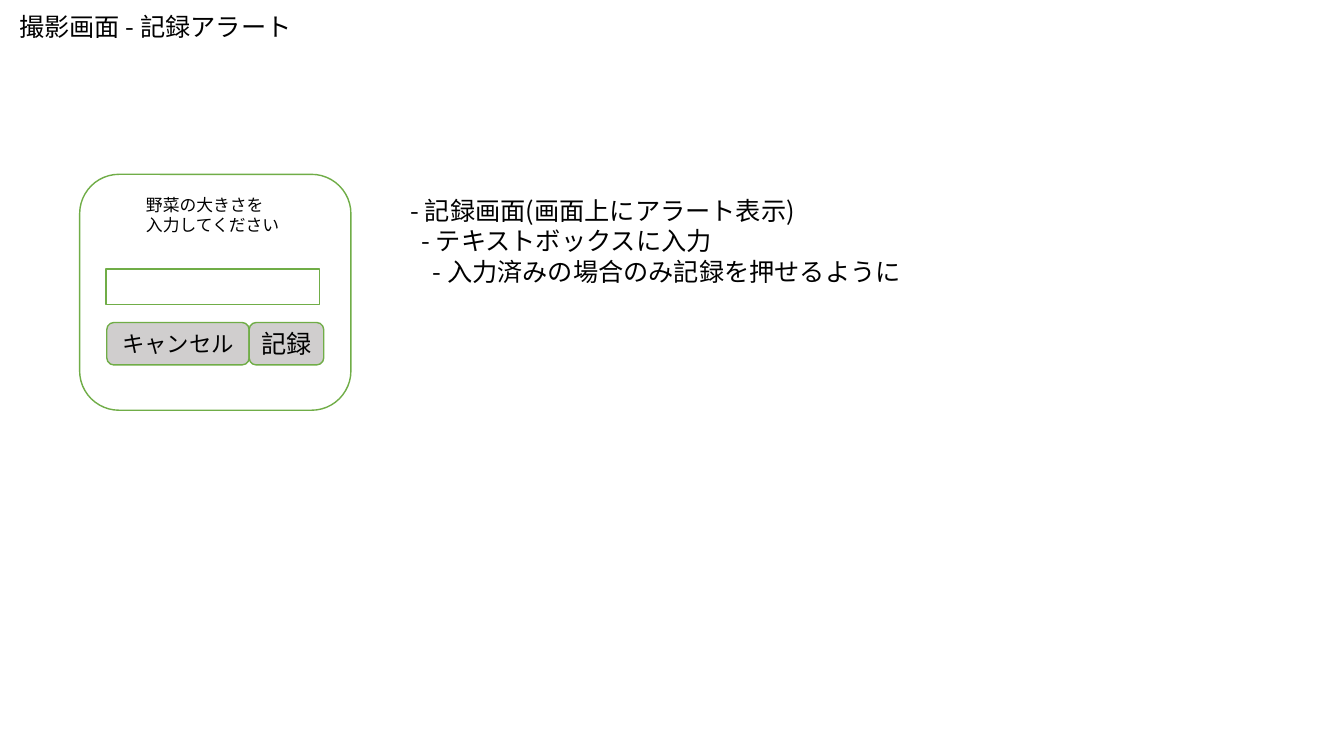
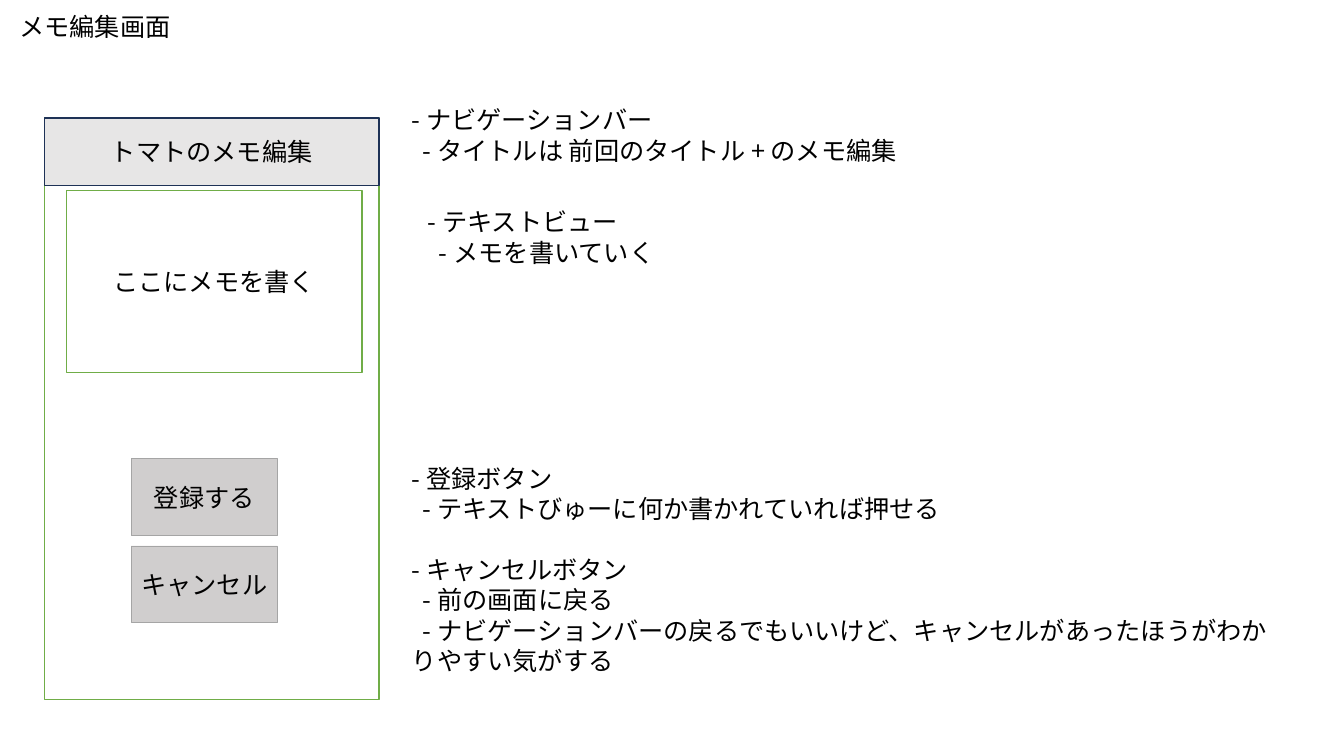
from typing import NamedTuple

from lxml.etree import SubElement
from pptx import Presentation
from pptx.dml.color import RGBColor
from pptx.enum.shapes import MSO_SHAPE as Shape
from pptx.enum.text import MSO_ANCHOR as Anchor, PP_ALIGN as Align
from pptx.oxml.ns import qn
from pptx.util import Inches, Pt

FONT = "Noto Sans CJK JP"
COLORS = {
    "text": "000000", "paper": "FFFFFF", "outline": "70AD47",
    "button": "D0CECE", "button_edge": "A5A5A5",
    "bar": "E7E6E6", "bar_edge": "1E3256",
}
BODY = 18
LINE_FACTOR = 1.2
INDENT = 0.11  # first-line step of each note level


class Box(NamedTuple):
    left: float
    top: float
    width: float
    height: float

    def inner(self, x, y, w, h):
        """Inner box, given in percent of this one."""
        return Box(self.left + self.width * x / 100, self.top + self.height * y / 100,
                   self.width * w / 100, self.height * h / 100)

    def emu(self):
        return [Inches(length) for length in self]


PAGE = Box(0, 0, 13.33, 7.5)


def rgb(name):
    return RGBColor.from_string(COLORS[name])


def style(paragraph, size, level=0, align=Align.LEFT):
    paragraph.alignment = align
    paragraph.line_spacing = Pt(size * LINE_FACTOR)
    font = paragraph.font
    font.size, font.name = Pt(size), FONT
    font.color.rgb = rgb("text")
    # East Asian typeface and first-line indent
    props = paragraph._p.get_or_add_pPr()
    SubElement(props.find(qn("a:defRPr")), qn("a:ea"), typeface=FONT)
    if level:
        props.set("marL", "0")
        props.set("indent", str(Inches(INDENT * level)))


def add_lines(shapes, box, lines, size=BODY):
    """Text box; lines are (level, text) pairs."""
    frame = shapes.add_textbox(*box.emu()).text_frame
    frame.word_wrap = True
    for i, (level, text) in enumerate(lines):
        paragraph = frame.add_paragraph() if i else frame.paragraphs[0]
        paragraph.text = text
        style(paragraph, size, level)


def add_panel(shapes, box, text="", fill="paper", edge="outline", weight=1,
              form=Shape.RECTANGLE, size=BODY):
    panel = shapes.add_shape(form, *box.emu())
    panel.shadow.inherit = False
    panel.fill.solid()
    panel.fill.fore_color.rgb = rgb(fill)
    panel.line.color.rgb = rgb(edge)
    panel.line.width = Pt(weight)
    if text:
        frame = panel.text_frame
        frame.word_wrap = True
        frame.vertical_anchor = Anchor.MIDDLE
        frame.margin_left = frame.margin_right = Inches(0.05)
        frame.text = text
        style(frame.paragraphs[0], size, align=Align.CENTER)


def add_page(deck, title):
    shapes = deck.slides.add_slide(deck.slide_layouts[6]).shapes
    add_lines(shapes, PAGE.inner(0.7, 0.9, 29, 5.4), [(0, title)])
    return shapes


def draw_alert(shapes, box):
    """Dialog asking for the size of the vegetable."""
    rounded = Shape.ROUNDED_RECTANGLE
    add_panel(shapes, box, form=rounded)
    add_lines(shapes, box.inner(20.8, 6.4, 58, 21.4),
              [(0, "野菜の大きさを"), (0, "入力してください")], 12)
    add_panel(shapes, box.inner(9.7, 40.2, 78.8, 15))
    # Buttons side by side
    for x, width, label, size in ((10, 52.5, "キャンセル", 16), (62.5, 27.5, "記録", BODY)):
        add_panel(shapes, box.inner(x, 62.8, width, 18), label, "button",
                  form=rounded, size=size)


def draw_memo_screen(shapes, box):
    """Phone screen for editing a memo."""
    add_panel(shapes, box)
    add_panel(shapes, box.inner(0, 0, 100, 11.6), "トマトのメモ編集", "bar", "bar_edge")
    add_panel(shapes, box.inner(6.6, 12.5, 88.3, 31.3), "ここにメモを書く")
    # Stacked buttons
    for row, label in enumerate(("登録する", "キャンセル")):
        add_panel(shapes, box.inner(25.9, 58.6 + 15 * row, 43.7, 13.2), label,
                  "button", "button_edge", 0.5)


def build_alert_page(deck):
    shapes = add_page(deck, "撮影画面 - 記録アラート")
    draw_alert(shapes.add_group_shape().shapes, Box(0.79, 1.73, 2.69, 2.34))
    add_lines(shapes, PAGE.inner(29.8, 25.2, 43.4, 13.5), [
        (0, "- 記録画面(画面上にアラート表示)"),
        (1, "- テキストボックスに入力"),
        (2, "- 入力済みの場合のみ記録を押せるように"),
    ])


def build_memo_page(deck):
    shapes = add_page(deck, "メモ編集画面")
    draw_memo_screen(shapes.add_group_shape().shapes, Box(0.44, 1.17, 3.32, 5.77))
    # Notes beside the elements they explain: left, top, height, lines
    notes = (
        (29.9, 13.2, 9.4, [(0, "- ナビゲーションバー"),
                           (1, "- タイトルは 前回のタイトル + のメモ編集")]),
        (31.1, 26.7, 9.4, [(0, "- テキストビュー"), (1, "- メモを書いていく")]),
        (29.9, 60.6, 9.4, [(0, "- 登録ボタン"),
                           (1, "- テキストびゅーに何か書かれていれば押せる")]),
        (29.9, 72.7, 17.4, [
            (0, "- キャンセルボタン"),
            (1, "- 前の画面に戻る"),
            (1, "- ナビゲーションバーの戻るでもいいけど、"
                "キャンセルがあったほうがわかりやすい気がする"),
        ]),
    )
    for left, top, height, lines in notes:
        add_lines(shapes, PAGE.inner(left, top, 66.9, height), lines)


def main():
    deck = Presentation()
    deck.slide_width, deck.slide_height = Inches(PAGE.width), Inches(PAGE.height)
    build_alert_page(deck)
    build_memo_page(deck)
    deck.save("out.pptx")


if __name__ == "__main__":
    main()
